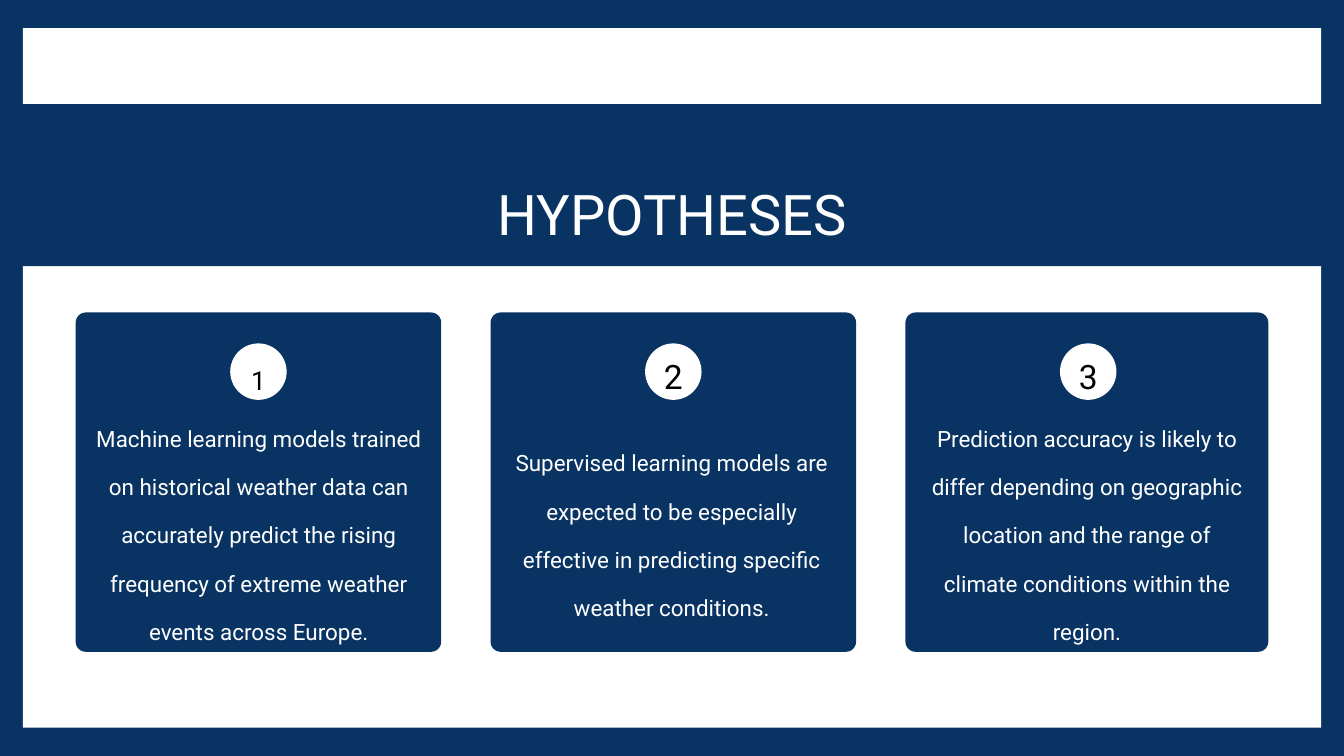
from dataclasses import dataclass
from typing import NamedTuple

from pptx import Presentation
from pptx.dml.color import RGBColor as Rgb
from pptx.enum.shapes import MSO_SHAPE as Kind
from pptx.enum.text import PP_ALIGN as Align
from pptx.util import Inches, Pt

WIDE, HIGH = Inches(20), Inches(11.25)


@dataclass(frozen=True)
class Theme:
    navy: Rgb = Rgb(0x09, 0x33, 0x62)
    white: Rgb = Rgb(0xFF, 0xFF, 0xFF)
    black: Rgb = Rgb(0, 0, 0)
    face: str = "Roboto"
    title: float = 60
    body: float = 24


class Box(NamedTuple):
    """Left, top, width and height in percent of the slide."""
    x: float
    y: float
    w: float
    h: float

    def emu(self) -> list[int]:
        return [round(v * full / 100)
                for v, full in zip(self, (WIDE, HIGH, WIDE, HIGH))]


@dataclass(frozen=True)
class Card:
    text: str
    body: Box
    wide: float = 27.2
    digit: float = 36


THEME = Theme()
LEFT, STEP, HALF = 5.63, 30.87, 13.6
CARDS = (
    Card("Machine learning models trained on historical weather data can "
         "accurately predict the rising frequency of extreme weather events "
         "across Europe.", Box(7.15, 53.33, 24.2, 31.47), digit=28),
    Card("Supervised learning models are expected to be especially effective "
         "in predicting specific weather conditions.",
         Box(38.3, 56.62, 23.35, 25.07)),
    Card("Prediction accuracy is likely to differ depending on geographic "
         "location and the range of climate conditions within the region.",
         Box(69.25, 53.33, 23.25, 31.47), wide=27),
)


def block(slide, kind: Kind, box: Box, tint: Rgb):
    shape = slide.shapes.add_shape(kind, *box.emu())
    shape.shadow.inherit = False
    shape.fill.solid()
    shape.fill.fore_color.rgb = tint
    shape.line.fill.background()
    return shape


def label(slide, box: Box, text: str, size: float, lead: float, tint: Rgb) -> None:
    frame = slide.shapes.add_textbox(*box.emu()).text_frame
    para = frame.paragraphs[0]
    run = para.add_run()
    run.text = text
    run.font.color.rgb = tint
    margins = dict.fromkeys(
        ("margin_left", "margin_top", "margin_right", "margin_bottom"), 0)
    formats = (
        (frame, {"word_wrap": True, **margins}),
        (para, {"alignment": Align.CENTER, "line_spacing": Pt(lead)}),
        (run.font, {"name": THEME.face, "size": Pt(size)}),
    )
    for part, values in formats:
        for name, value in values.items():
            setattr(part, name, value)


def draw_card(slide, index: int, card: Card) -> None:
    left = LEFT + index * STEP
    mid = left + HALF
    panel = block(slide, Kind.ROUNDED_RECTANGLE,
                  Box(left, 41.33, card.wide, 44.89), THEME.navy)
    panel.adjustments[0] = 0.03
    block(slide, Kind.OVAL, Box(mid - 2.1, 45.42, 4.2, 7.47), THEME.white)
    label(slide, Box(mid - 1.5, 45.42, 3, 6.27), str(index + 1),
          card.digit, 56.5, THEME.black)
    label(slide, card.body, card.text, THEME.body, 51.8, THEME.white)


def main() -> None:
    deck = Presentation()
    deck.slide_width, deck.slide_height = WIDE, HIGH
    slide = deck.slides.add_slide(deck.slide_layouts[6])
    back = slide.background.fill
    back.solid()
    back.fore_color.rgb = THEME.navy

    block(slide, Kind.RECTANGLE, Box(1.7, 3.73, 96.6, 92.53), THEME.white)
    block(slide, Kind.RECTANGLE, Box(0, 13.78, 100, 21.42), THEME.navy)
    label(slide, Box(18.05, 17.16, 63.95, 13.51), "HYPOTHESES",
          THEME.title, 125.8, THEME.white)
    for index, card in enumerate(CARDS):
        draw_card(slide, index, card)
    deck.save("out.pptx")


if __name__ == "__main__":
    main()
